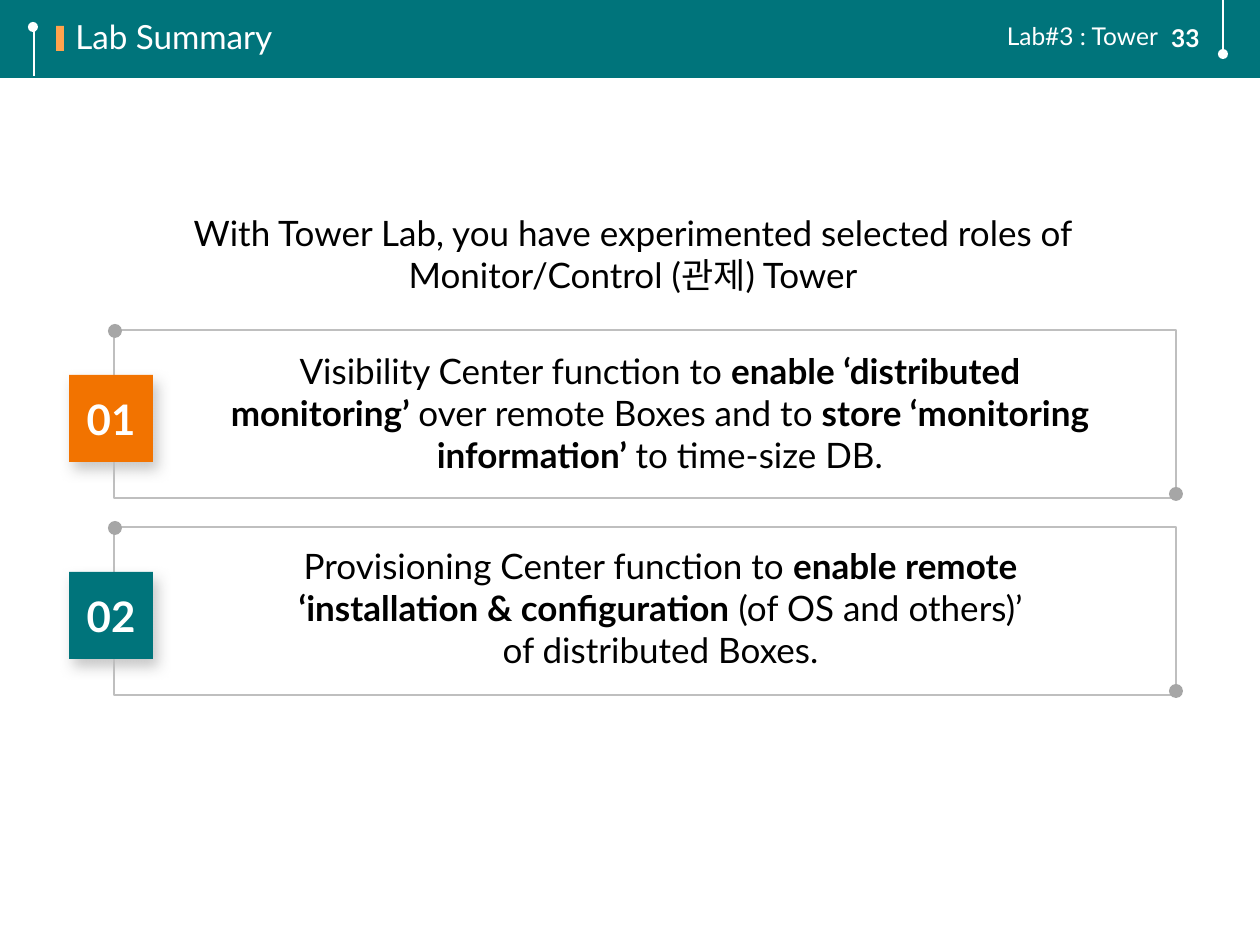
from lxml import etree
from pptx import Presentation, util as u
from pptx.dml.color import RGBColor
from pptx.enum import shapes, text
from pptx.oxml import parse_xml
from pptx.oxml.ns import nsdecls, qn

PX = 914400 / 126
COLORS = {"teal": "00747B", "orange": "F27300", "accent": "FFA34D", "white": "FFFFFF",
          "black": "000000", "frame": "BFBFBF", "dot": "A6A6A6"}
SHADOW = (f'<a:effectLst {nsdecls("a")}><a:outerShdw blurRad="101600" dist="63500" '
          'dir="3660000" algn="tl" rotWithShape="0"><a:srgbClr val="BFBFBF">'
          '<a:alpha val="85000"/></a:srgbClr></a:outerShdw></a:effectLst>')


def emu(*lengths):
    return [u.Emu(round(length * PX)) for length in lengths]


def color(name):
    return RGBColor.from_string(COLORS[name])


class Slide:
    def __init__(self, page, font="Lato"):
        self.page = page
        self.font = font

    def shape(self, kind, left, top, width, height, fill=None, line=None):
        box = self.page.shapes.add_shape(kind, *emu(left, top, width, height))
        box.shadow.inherit = False
        if fill:
            box.fill.solid()
            box.fill.fore_color.rgb = color(fill)
        else:
            box.fill.background()
        if line:
            box.line.color.rgb = color(line)
            box.line.width = u.Pt(1)
        else:
            box.line.fill.background()
        return box

    def rect(self, *place, **style):
        return self.shape(shapes.MSO_SHAPE.RECTANGLE, *place, **style)

    def dot(self, left, top, size, fill):
        return self.shape(shapes.MSO_SHAPE.OVAL, left, top, size, size, fill=fill)

    def line(self, x, top, bottom):
        link = self.page.shapes.add_connector(
            shapes.MSO_CONNECTOR.STRAIGHT, *emu(x, top, x, bottom))
        link.line.color.rgb = color("white")
        link.line.width = u.Pt(0.75)
        etree.SubElement(link._element.spPr, qn("a:effectLst"))

    def label(self, box, spans, size, ink, align=text.PP_ALIGN.CENTER,
              anchor=text.MSO_ANCHOR.TOP):
        """Fill a box with one paragraph of (wording, bold, font) spans."""
        frame = box.text_frame
        frame.word_wrap = True
        frame.vertical_anchor = anchor
        para = frame.paragraphs[0]
        para.alignment = align
        for wording, bold, *font in spans:
            span = para.add_run()
            span.text = wording
            span.font.name = font[0] if font else self.font
            span.font.size = u.Pt(size)
            span.font.bold = bold
            span.font.color.rgb = color(ink)
        return para

    def text(self, place, spans, size, ink="black", **layout):
        box = self.page.shapes.add_textbox(*emu(*place))
        return self.label(box, spans, size, ink, **layout)

    def card(self, top, number, fill):
        self.rect(114, top, 1062, 168, line="frame")
        self.dot(108, top - 6, 14, "dot")
        self.dot(1169, top + 157, 14, "dot")
        badge = self.shape(shapes.MSO_SHAPE.ROUND_2_DIAG_RECTANGLE,
                           69, top + 45, 84, 87, fill=fill)
        badge.adjustments[0] = badge.adjustments[1] = 0
        properties = badge._element.spPr
        properties.replace(properties.find(qn("a:effectLst")), parse_xml(SHADOW))
        self.label(badge, [(number, True)], 24, "white", anchor=text.MSO_ANCHOR.MIDDLE)


def main():
    deck = Presentation()
    deck.slide_width, deck.slide_height = u.Inches(10), u.Inches(7.5)
    slide = Slide(deck.slides.add_slide(deck.slide_layouts[6]))

    # Header band with its pins
    slide.rect(0, 0, 1260, 78, fill="teal")
    slide.rect(56, 26, 8, 25, fill="accent")
    slide.line(1223, 0, 58)
    slide.dot(1218, 49, 10, "white")
    slide.line(34, 31, 76)
    slide.dot(28, 22, 10, "white")

    # Header text
    title = slide.text((63, 4, 822, 70), [("Lab Summary", False)], 19, "white",
                       align=text.PP_ALIGN.LEFT, anchor=text.MSO_ANCHOR.MIDDLE)
    title.line_spacing = 0.9
    slide.text((925, 15, 315, 45), [("Lab#3 : Tower", False)], 14, "white")
    slide.text((1154, 13, 58, 50), [("33", True)], 14, "white",
               align=text.PP_ALIGN.RIGHT, anchor=text.MSO_ANCHOR.MIDDLE)

    # Introduction
    slide.text((50, 205, 1166, 97), [
        ("With Tower Lab, you have experimented selected roles of Monitor/Control (", False),
        ("관제", False, "Arial"),
        (") Tower", False)], 20)

    # Numbered cards
    slide.card(330, "01", "orange")
    slide.text((209, 343, 902, 140), [
        ("Visibility Center function to ", False),
        ("enable ‘distributed monitoring’ ", True),
        ("over remote Boxes and to ", False),
        ("store ‘monitoring information’ ", True),
        ("to time-size DB.", False)], 20)
    slide.card(527, "02", "teal")
    slide.text((268, 538, 785, 140), [
        ("Provisioning Center function to ", False),
        ("enable remote ‘installation & configuration", True),
        (" (of OS and others)’ of distributed Boxes.", False)], 20)

    deck.save("out.pptx")


if __name__ == "__main__":
    main()
